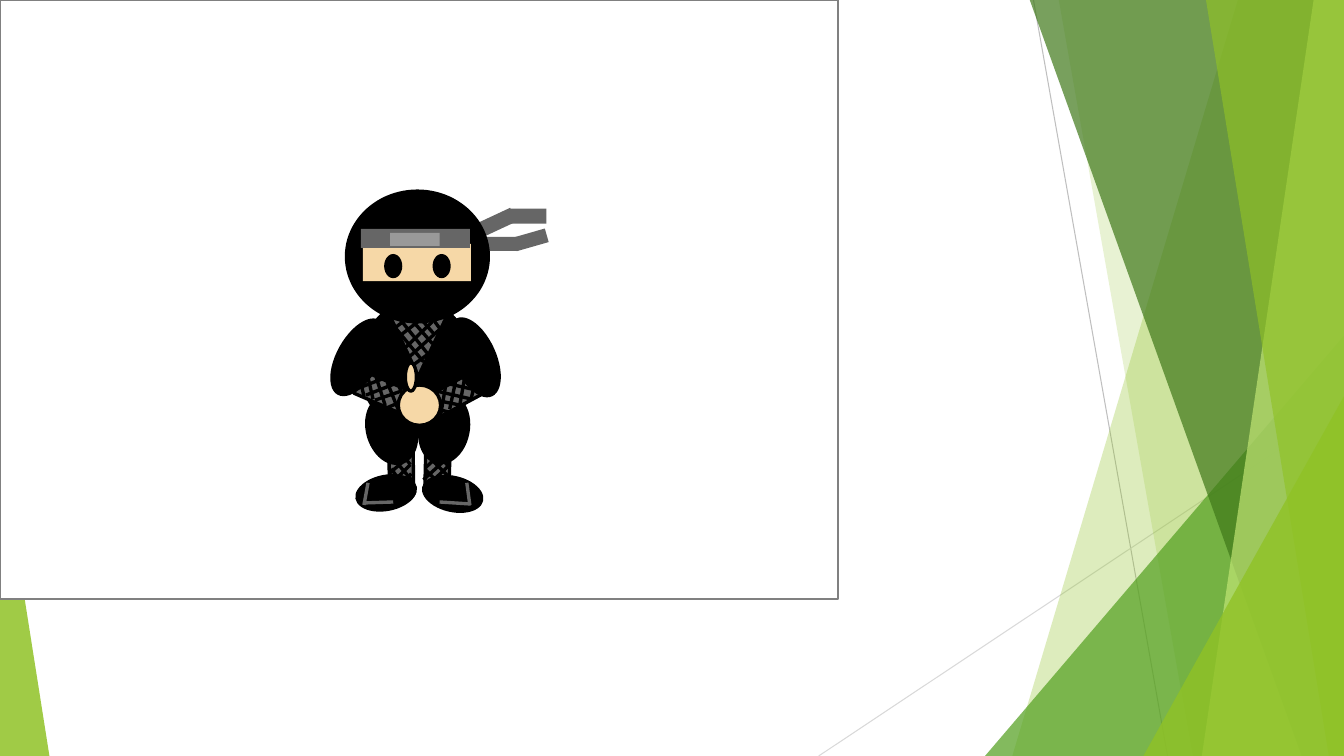
import pptx
import pptx.dml.color
import pptx.enum.shapes
import pptx.oxml.ns
import pptx.oxml.xmlchemy
import pptx.util
from pptx.util import Inches

KINDS = pptx.enum.shapes.MSO_SHAPE
RECT, OVAL, TRIANGLE = KINDS.RECTANGLE, KINDS.OVAL, KINDS.ISOSCELES_TRIANGLE
BLACK, GRAY, SILVER, SKIN = "000000", "666666", "999999", "F6D8A7"
LIME = "90C226"
STROKE = 2.4
TOP, BOTTOM, RIGHT = -0.01, 7.5, 13.33

# Net lines on the clothing: x1, y1, x2, y2
RIGHT_LEG_NET = [
    (4.36, 4.39, 4.44, 4.51), (4.25, 4.39, 4.45, 4.63), (4.23, 4.51, 4.44, 4.72),
    (4.22, 4.66, 4.39, 4.83), (4.37, 4.39, 4.24, 4.51), (4.46, 4.42, 4.22, 4.64),
    (4.45, 4.53, 4.20, 4.76), (4.44, 4.63, 4.24, 4.82), (4.45, 4.72, 4.32, 4.83),
]
LEFT_LEG_NET = [
    (3.99, 4.38, 4.10, 4.53), (3.91, 4.40, 4.07, 4.61), (3.86, 4.50, 4.08, 4.76),
    (3.88, 4.65, 4.01, 4.83), (3.86, 4.49, 4.02, 4.38), (3.87, 4.57, 4.09, 4.41),
    (3.87, 4.69, 4.09, 4.50), (3.88, 4.80, 4.07, 4.61), (3.94, 4.84, 4.08, 4.70),
]
LEFT_ARM_NET = [
    (4.02, 3.97, 3.85, 4.04), (3.98, 3.88, 3.72, 3.97), (3.91, 3.81, 3.63, 3.92),
    (3.79, 3.76, 3.53, 3.86), (4.03, 3.99, 3.96, 3.84), (3.96, 4.09, 3.84, 3.79),
    (3.82, 4.02, 3.73, 3.74), (3.70, 3.96, 3.64, 3.70), (3.61, 3.93, 3.57, 3.76),
]
RIGHT_ARM_NET = [
    (4.34, 3.88, 4.30, 4.04), (4.42, 3.83, 4.37, 4.12), (4.52, 3.78, 4.46, 4.06),
    (4.56, 4.02, 4.61, 3.74), (4.72, 3.76, 4.67, 3.97), (4.60, 3.76, 4.73, 3.79),
    (4.77, 3.88, 4.46, 3.81), (4.33, 3.88, 4.68, 3.96), (4.22, 3.95, 4.57, 4.02),
    (4.30, 4.05, 4.46, 4.09),
]
COLLAR_NET = [
    (3.92, 3.25, 4.04, 3.16), (3.98, 3.32, 4.16, 3.18), (4.02, 3.45, 4.29, 3.19),
    (4.06, 3.54, 4.37, 3.26), (4.10, 3.62, 4.25, 3.51), (4.29, 3.16, 4.37, 3.27),
    (4.18, 3.17, 4.31, 3.32), (4.08, 3.17, 4.29, 3.41), (3.97, 3.17, 4.25, 3.52),
    (3.92, 3.25, 4.20, 3.59),
]


def color(value):
    return pptx.dml.color.RGBColor.from_string(value)


def paint(shape, fill, line=None, width=STROKE, opacity=100):
    """Set fill, outline and opacity in percent; drop the shadow."""
    shape.shadow.inherit = False
    shape.fill.solid()
    shape.fill.fore_color.rgb = color(fill)
    if opacity < 100:
        fill_color = shape._element.spPr.find(".//" + pptx.oxml.ns.qn("a:srgbClr"))
        alpha = fill_color.makeelement(pptx.oxml.ns.qn("a:alpha"), {"val": str(opacity * 1000)})
        fill_color.append(alpha)
    if line:
        shape.line.color.rgb = color(line)
        shape.line.width = pptx.util.Pt(width)
    else:
        shape.line.fill.background()


def add_figure(slide, kind, at, fill, line=None, width=STROKE, rotation=0, opacity=100, apex=None):
    shape = slide.shapes.add_shape(kind, *[Inches(length) for length in at])
    if apex is not None:
        shape.adjustments[0] = apex
    shape.rotation = rotation
    paint(shape, fill, line, width, opacity)


def add_facet(slide, top_left, top_right, bottom_left, fill, opacity):
    """Translucent panel that runs from a slanted edge to the right side."""
    corners = [(top_left, TOP), (top_right, TOP), (RIGHT, BOTTOM), (bottom_left, BOTTOM)]
    points = [(Inches(x), Inches(y)) for x, y in corners]
    builder = slide.shapes.build_freeform(*points[0], scale=1.0)
    builder.add_line_segments(points[1:], close=True)
    paint(builder.convert_to_shape(), fill, opacity=opacity)


def add_lines(slide, lines, stroke, width=STROKE):
    for ends in lines:
        line = slide.shapes.add_connector(
            pptx.enum.shapes.MSO_CONNECTOR.STRAIGHT, *[Inches(length) for length in ends])
        line.line.color.rgb = color(stroke)
        line.line.width = pptx.util.Pt(width)
        properties = line._element.spPr
        properties.append(properties.makeelement(pptx.oxml.ns.qn("a:effectLst"), {}))


def add_netting(slide, at, rotation, net):
    add_figure(slide, RECT, at, GRAY, BLACK, rotation=rotation)
    add_lines(slide, net, BLACK)


def draw_backdrop(slide):
    add_lines(slide, [(10.25, 0, 11.58, BOTTOM)], "BFBFBF", 0.75)
    add_lines(slide, [(RIGHT, 4.03, 8.12, BOTTOM)], "D9D9D9", 0.75)
    add_facet(slide, 12.28, RIGHT, 10.04, LIME, 30)
    add_facet(slide, 10.5, RIGHT, 11.83, LIME, 20)
    add_figure(slide, TRIANGLE, (9.77, 3.33, 3.56, 4.17), "54A021", opacity=72, apex=1)
    add_facet(slide, 10.21, RIGHT, 12.91, "3F7819", 70)
    add_facet(slide, 13.03, RIGHT, 11.92, "C0E474", 70)
    add_facet(slide, 11.96, RIGHT, 13.18, LIME, 65)
    add_figure(slide, TRIANGLE, (11.34, 3.93, 1.99, 3.57), LIME, opacity=80, apex=1)
    add_figure(slide, TRIANGLE, (0, 4.39, 0.49, 3.11), LIME, opacity=85, apex=0)


def draw_body(slide):
    # Shins, torso and thighs
    add_netting(slide, (4.22, 4.38, 0.24, 0.46), 1.4, RIGHT_LEG_NET)
    add_netting(slide, (3.86, 4.38, 0.24, 0.46), 359.4, LEFT_LEG_NET)
    add_figure(slide, OVAL, (3.56, 2.97, 1.14, 1.32), BLACK)
    add_figure(slide, OVAL, (3.63, 3.91, 0.51, 0.71), BLACK, rotation=343.6)
    add_figure(slide, OVAL, (4.15, 3.9, 0.51, 0.71), BLACK, rotation=11.3)
    # Forearms, hands and collar
    add_netting(slide, (3.68, 3.63, 0.24, 0.53), 293.4, LEFT_ARM_NET)
    add_netting(slide, (4.4, 3.65, 0.24, 0.53), 61.7, RIGHT_ARM_NET)
    add_figure(slide, OVAL, (3.95, 3.82, 0.42, 0.4), SKIN, BLACK)
    add_figure(slide, TRIANGLE, (3.9, 3.16, 0.5, 0.53), GRAY, rotation=180)
    add_lines(slide, COLLAR_NET, BLACK)


def draw_head(slide):
    # Loose ends of the headband
    for at, rotation in [((4.75, 2.13, 0.36, 0.15), 335), ((5.07, 2.07, 0.35, 0.15), 0),
                         ((4.81, 2.35, 0.33, 0.14), 0), ((5.1, 2.31, 0.33, 0.14), 344)]:
        add_figure(slide, RECT, at, GRAY, rotation=rotation)
    # Hood, face, eyes and headband
    add_figure(slide, OVAL, (3.42, 1.88, 1.44, 1.33), BLACK)
    add_figure(slide, RECT, (3.6, 2.42, 1.07, 0.37), SKIN)
    for eye_left in (3.81, 4.29):
        add_figure(slide, OVAL, (eye_left, 2.52, 0.18, 0.24), BLACK)
    add_figure(slide, RECT, (3.58, 2.27, 1.08, 0.19), GRAY)
    add_figure(slide, RECT, (3.87, 2.31, 0.49, 0.13), SILVER)


def draw_sleeves_and_shoes(slide):
    add_figure(slide, OVAL, (4.49, 3.12, 0.43, 0.85), BLACK, rotation=335.6)
    add_figure(slide, OVAL, (3.34, 3.12, 0.43, 0.85), BLACK, rotation=29.1)
    add_figure(slide, OVAL, (4.31, 4.59, 0.36, 0.62), BLACK, rotation=283)
    add_lines(slide, [(4.36, 4.98, 4.67, 5), (4.63, 4.79, 4.66, 5.01)], GRAY)
    add_figure(slide, OVAL, (3.65, 4.58, 0.36, 0.62), BLACK, rotation=79)
    add_lines(slide, [(3.65, 4.79, 3.61, 5.01), (3.9, 4.98, 3.6, 4.99)], GRAY)
    # Raised thumb
    add_figure(slide, OVAL, (4.02, 3.6, 0.11, 0.28), SKIN, BLACK)


def main():
    deck = pptx.Presentation()
    deck.slide_width, deck.slide_height = Inches(13.33), Inches(7.5)
    slide = deck.slides.add_slide(deck.slide_layouts[6])
    draw_backdrop(slide)
    # White stage behind the ninja
    add_figure(slide, RECT, (0, 0, 8.31, 5.94), "FFFFFF", "808080", 1.5)
    draw_body(slide)
    draw_head(slide)
    draw_sleeves_and_shoes(slide)
    deck.save("out.pptx")


if __name__ == "__main__":
    main()
